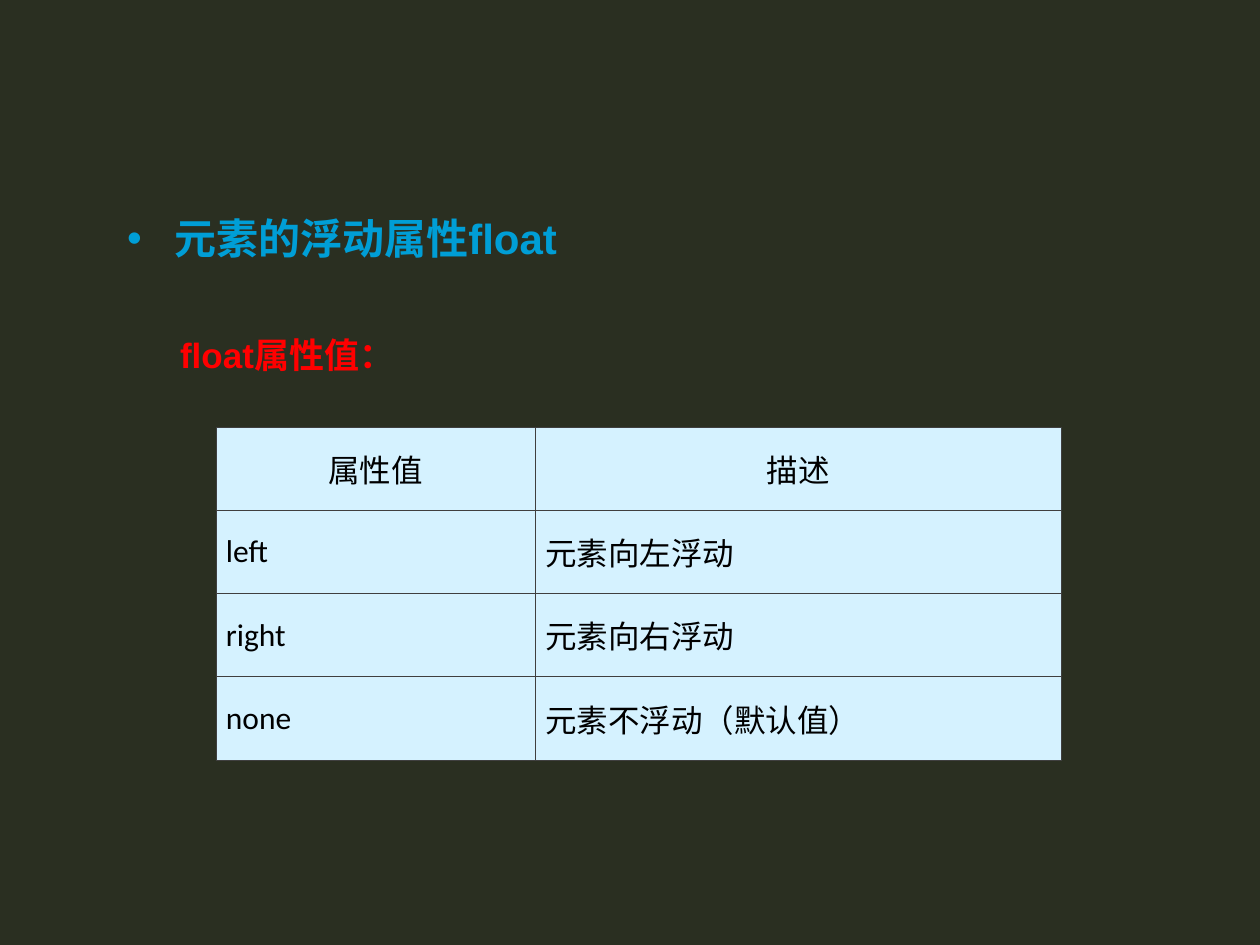
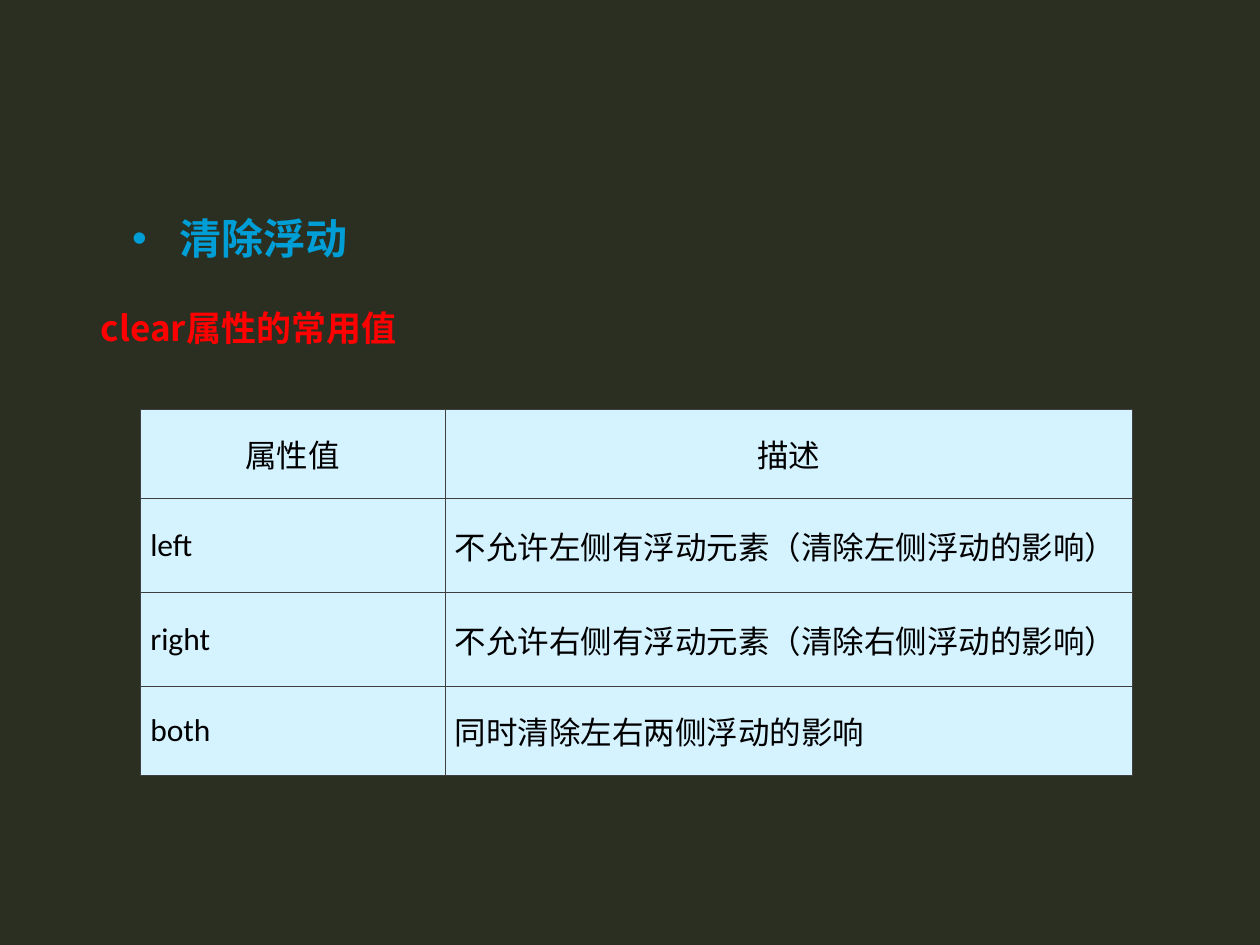
"""Build two slides on the CSS float and clear properties."""
from lxml import etree
from pptx import Presentation
from pptx.dml.color import RGBColor
from pptx.enum.text import MSO_ANCHOR, MSO_AUTO_SIZE, PP_ALIGN
from pptx.oxml.ns import qn
from pptx.util import Pt

CENTER, LEFT = PP_ALIGN.CENTER, PP_ALIGN.LEFT
MIDDLE = MSO_ANCHOR.MIDDLE
GROW = MSO_AUTO_SIZE.SHAPE_TO_FIT_TEXT

COLORS = {
    "background": "2A2F21",
    "heading": "009ED6",
    "caption": "FF0000",
    "cell": "D5F2FF",
    "text": "000000",
    "border": "3F3F3F",
}
ASIAN_FONT = "Noto Sans CJK SC"
HEADING = {"size": Pt(24), "name": "Arial", "bold": True}
CAPTION = {"size": Pt(20), "name": "Arial", "bold": True}
CELL = {"size": Pt(18), "name": "Calibri", "bold": False}
FRAME = {"word_wrap": False, "auto_size": GROW}
CELL_LAYOUT = {
    "vertical_anchor": MIDDLE,
    "margin_left": Pt(5.7),
    "margin_right": Pt(5.7),
    "margin_top": Pt(3.6),
    "margin_bottom": Pt(3.6),
}
HEADER = ("属性值", "描述")
BULLET_INDENT = Pt(27)

SLIDES = [
    {
        "heading": ("元素的浮动属性float", 65.5, 118, 265.7, 36),
        "caption": ("float属性值：", 95.8, 187.2, 141, 31.5),
        "caption_font": "Arial",
        "table_at": (123.4, 244.3),
        "columns": (182.4, 300.9),
        "rows": (47.5, 47.5, 47.5, 47.5),
        "values": [
            ("left", "元素向左浮动"),
            ("right", "元素向右浮动"),
            ("none", "元素不浮动（默认值）"),
        ],
    },
    {
        "heading": ("清除浮动", 68.4, 118, 137.5, 36),
        "caption": ("clear属性的常用值", 50.5, 171.4, 188.6, 31.5),
        "caption_font": ASIAN_FONT,
        "table_at": (80.2, 233.9),
        "columns": (174.1, 392.8),
        "rows": (51, 53.7, 53.5, 51),
        "values": [
            ("left", "不允许左侧有浮动元素（清除左侧浮动的影响）"),
            ("right", "不允许右侧有浮动元素（清除右侧浮动的影响）"),
            ("both", "同时清除左右两侧浮动的影响"),
        ],
    },
]


def write(paragraph, text, font_format, color):
    """Add one formatted run to a paragraph."""
    run = paragraph.add_run()
    run.text = text
    for name, value in font_format.items():
        setattr(run.font, name, value)
    run.font.color.rgb = RGBColor.from_string(COLORS[color])
    latin = run.font._element.find(qn("a:latin"))
    asian = etree.Element(qn("a:ea"), typeface=ASIAN_FONT)
    latin.addnext(asian)


def add_label(slide, label, font_format, color):
    """Add a one-line text box and return its paragraph."""
    text, *box = label
    frame = slide.shapes.add_textbox(*map(Pt, box)).text_frame
    for name, value in FRAME.items():
        setattr(frame, name, value)
    paragraph = frame.paragraphs[0]
    write(paragraph, text, font_format, color)
    return paragraph


presentation = Presentation()
presentation.slide_width, presentation.slide_height = Pt(720), Pt(540)

for content in SLIDES:
    slide = presentation.slides.add_slide(presentation.slide_layouts[6])
    slide.background.fill.solid()
    slide.background.fill.fore_color.rgb = RGBColor.from_string(COLORS["background"])

    heading = add_label(slide, content["heading"], HEADING, "heading")
    properties = heading._p.get_or_add_pPr()
    properties.set("marL", str(BULLET_INDENT))
    properties.set("indent", str(-BULLET_INDENT))
    bullet_color = etree.SubElement(properties, qn("a:buClr"))
    etree.SubElement(bullet_color, qn("a:srgbClr"), val=COLORS["heading"])
    etree.SubElement(properties, qn("a:buFont"), typeface="Arial")
    etree.SubElement(properties, qn("a:buChar"), char="•")

    caption_format = {**CAPTION, "name": content["caption_font"]}
    add_label(slide, content["caption"], caption_format, "caption")

    columns, rows = content["columns"], content["rows"]
    table = slide.shapes.add_table(
        len(rows), len(columns), *map(Pt, content["table_at"]),
        Pt(sum(columns)), Pt(sum(rows)),
    ).table
    for column, width in zip(table.columns, columns):
        column.width = Pt(width)
    for row, height in zip(table.rows, rows):
        row.height = Pt(height)

    for row_index, values in enumerate([HEADER, *content["values"]]):
        for column_index, text in enumerate(values):
            cell = table.cell(row_index, column_index)
            for name, value in CELL_LAYOUT.items():
                setattr(cell, name, value)
            paragraph = cell.text_frame.paragraphs[0]
            paragraph.alignment = CENTER if row_index == 0 else LEFT
            write(paragraph, text, CELL, "text")
            cell_properties = cell._tc.get_or_add_tcPr()
            for side in ("lnL", "lnR", "lnT", "lnB"):
                line = etree.SubElement(cell_properties, qn(f"a:{side}"), w=str(Pt(0.45)))
                line_fill = etree.SubElement(line, qn("a:solidFill"))
                etree.SubElement(line_fill, qn("a:srgbClr"), val=COLORS["border"])
            cell.fill.solid()
            cell.fill.fore_color.rgb = RGBColor.from_string(COLORS["cell"])

presentation.save("out.pptx")
